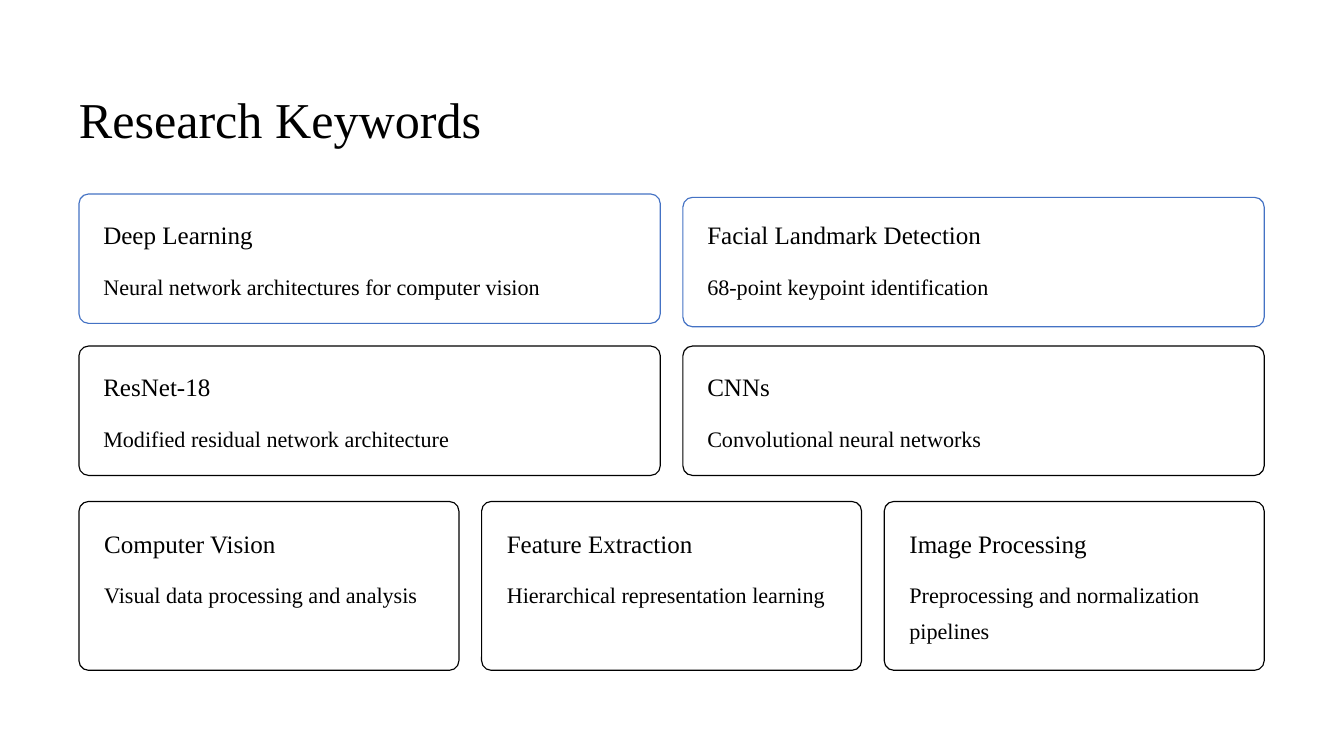
"""Build the Research Keywords slide: a title above three rows of keyword cards."""
import pptx
import pptx.dml.color
import pptx.enum.shapes
import pptx.enum.text
import pptx.util

Inches = pptx.util.Inches
Pt = pptx.util.Pt

THEME = {
    "font": "Times New Roman", "ink": "000000", "accent": "4472C4", "paper": "FFFFFF",
    "title": {"size": 43, "leading": 54},
    "keyword": {"size": 21.5, "leading": 27},
    "detail": {"size": 19, "leading": 31},
}
LEFT, CONTENT_WIDTH, GAP, RADIUS = 0.94, 14.11, 0.27, 0.114

ROWS = [
    {"top": 2.31, "height": 1.54, "inset": 0.29, "line": "accent", "drops": [0, 0.04], "cards": [
        ("Deep Learning", "Neural network architectures for computer vision"),
        ("Facial Landmark Detection", "68-point keypoint identification")]},
    {"top": 4.12, "height": 1.54, "inset": 0.29, "line": "ink", "drops": [0, 0], "cards": [
        ("ResNet-18", "Modified residual network architecture"),
        ("CNNs", "Convolutional neural networks")]},
    {"top": 5.97, "height": 2.01, "inset": 0.3, "line": "ink", "drops": [0, 0, 0], "cards": [
        ("Computer Vision", "Visual data processing and analysis"),
        ("Feature Extraction", "Hierarchical representation learning"),
        ("Image Processing", "Preprocessing and normalization pipelines")]},
]


def color(name):
    return pptx.dml.color.RGBColor.from_string(THEME[name])


def add_text(page, text, *, left, top, width, height, style):
    box = page.shapes.add_textbox(Inches(left), Inches(top), Inches(width), Inches(height))
    frame = box.text_frame
    frame.word_wrap = True
    frame.vertical_anchor = pptx.enum.text.MSO_ANCHOR.TOP
    frame.margin_left = frame.margin_right = frame.margin_top = frame.margin_bottom = 0
    para = frame.paragraphs[0]
    para.line_spacing = Pt(THEME[style]["leading"])
    span = para.add_run()
    span.text = text
    span.font.name = THEME["font"]
    span.font.size = Pt(THEME[style]["size"])
    span.font.color.rgb = color("ink")


deck = pptx.Presentation()
deck.slide_width, deck.slide_height = Inches(16), Inches(9)
page = deck.slides.add_slide(deck.slide_layouts[6])
page.background.fill.solid()
page.background.fill.fore_color.rgb = color("paper")

add_text(page, "Research Keywords", left=LEFT, top=1.02, width=6, height=0.75, style="title")

for row in ROWS:
    count = len(row["cards"])
    card_width = (CONTENT_WIDTH - GAP * (count - 1)) / count
    text_width = card_width - 2 * row["inset"]
    text_top = row["top"] + row["inset"]
    detail_height = row["height"] - 2 * row["inset"] - 0.54
    for column, (keyword, detail) in enumerate(row["cards"]):
        card_left = LEFT + column * (card_width + GAP)
        card = page.shapes.add_shape(
            pptx.enum.shapes.MSO_SHAPE.ROUNDED_RECTANGLE,
            Inches(card_left), Inches(row["top"] + row["drops"][column]),
            Inches(card_width), Inches(row["height"]))
        card.adjustments[0] = RADIUS / row["height"]
        card.shadow.inherit = False
        card.fill.solid()
        card.fill.fore_color.rgb = color("paper")
        card.line.color.rgb = color(row["line"])
        card.line.width = Pt(1)
        text_left = card_left + row["inset"]
        add_text(page, keyword, left=text_left, top=text_top,
                 width=text_width, height=0.38, style="keyword")
        add_text(page, detail, left=text_left, top=text_top + 0.54,
                 width=text_width, height=detail_height, style="detail")

deck.save("out.pptx")
